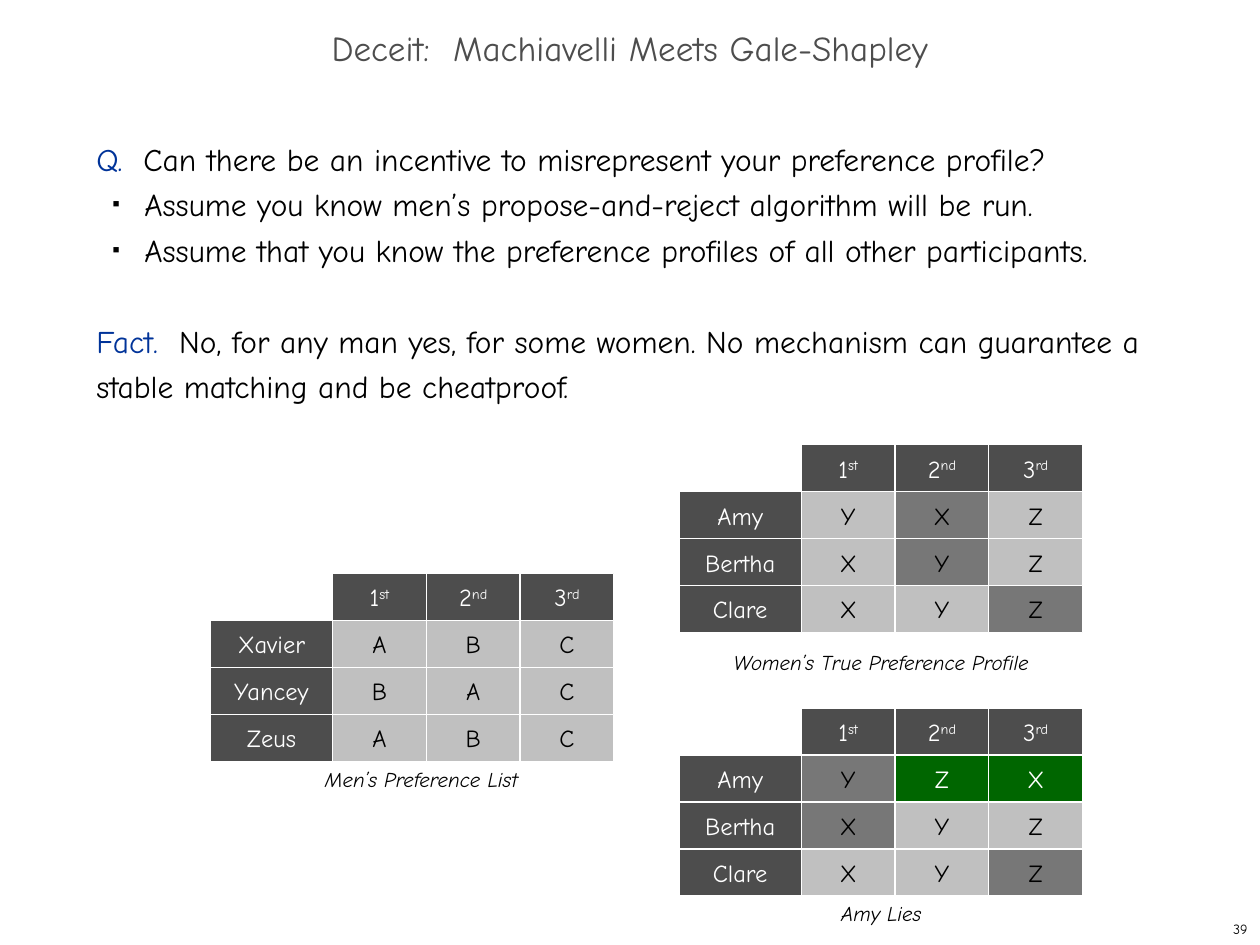
import pptx
import pptx.util
import pptx.dml.color
import pptx.enum.shapes
import pptx.enum.text
import pptx.oxml.ns
import lxml.etree

FONT = "Comic Neue"
COLORS = {
    "black": "000000",
    "white": "FFFFFF",
    "blue": "003399",
    "dark": "4D4D4D",
    "light": "C0C0C0",
    "gray": "777777",
    "green": "006600",
}
ALIGN = pptx.enum.text.PP_ALIGN
MIDDLE = pptx.enum.text.MSO_ANCHOR.MIDDLE

# The page is a grid of 100 columns by 100 rows
COLUMN = pptx.util.Inches(10) // 100
ROW = pptx.util.Inches(7.5) // 100

# Preference grids, measured in page columns and rows
NAME_WIDTH, RANK_WIDTH, CELL_HEIGHT = 9.7, 7.44, 4.97
CAPTION_WIDTH, CAPTION_HEIGHT = 33.5, 4.53
RANKS = [("1", "st"), ("2", "nd"), ("3", "rd")]


def columns(count):
    return pptx.util.Emu(round(count * COLUMN))


def rows(count):
    return pptx.util.Emu(round(count * ROW))


def grid_box(left, top, width, height):
    return columns(left), rows(top), columns(width), rows(height)


def add_text(para, text, size=18, color="black", italic=False, raised=False):
    span = para.add_run()
    span.text = text
    span.font.name = FONT
    span.font.size = pptx.util.Pt(size)
    span.font.italic = italic
    span.font.color.rgb = rgb(color)
    if raised:
        span._r.get_or_add_rPr().set("baseline", "30000")


def rgb(name):
    return pptx.dml.color.RGBColor.from_string(COLORS[name])


def single_line(shape, align):
    """Prepare a shape for one unwrapped line and return its paragraph."""
    frame = shape.text_frame
    frame.word_wrap = False
    frame.vertical_anchor = MIDDLE
    para = frame.paragraphs[0]
    para.alignment = align
    return para


def add_label(page, box, text, align, **text_format):
    add_text(single_line(page.shapes.add_textbox(*box), align), text, **text_format)


def set_bullet(para):
    properties = para._p.get_or_add_pPr()
    properties.set("marL", str(pptx.util.Inches(0.38)))
    properties.set("indent", str(pptx.util.Inches(-0.25)))
    bullet_color = lxml.etree.SubElement(properties, pptx.oxml.ns.qn("a:buClr"))
    lxml.etree.SubElement(bullet_color, pptx.oxml.ns.qn("a:srgbClr"), val=COLORS["black"])
    lxml.etree.SubElement(properties, pptx.oxml.ns.qn("a:buSzPct"), val="35000")
    lxml.etree.SubElement(properties, pptx.oxml.ns.qn("a:buFont"), typeface="Arial")
    lxml.etree.SubElement(properties, pptx.oxml.ns.qn("a:buChar"), char="■")


def add_cell(page, box, text, shade, suffix=""):
    cell = page.shapes.add_shape(pptx.enum.shapes.MSO_SHAPE.RECTANGLE, *box)
    cell.shadow.inherit = False
    cell.fill.solid()
    cell.fill.fore_color.rgb = rgb(shade)
    cell.line.color.rgb = rgb("white")
    cell.line.width = pptx.util.Pt(0.75)
    para = single_line(cell, ALIGN.CENTER)
    color = "white" if shade in ("dark", "green") else "black"
    add_text(para, text, size=14, color=color)
    if suffix:
        add_text(para, suffix, size=14, color=color, raised=True)


def add_title(page, box, text):
    title = page.shapes.title
    title.left, title.top, title.width, title.height = box
    frame = title.text_frame
    frame.vertical_anchor = MIDDLE
    para = frame.paragraphs[0]
    para.alignment = ALIGN.CENTER
    para.line_spacing = 0.7
    add_text(para, text, size=20, color="dark")


def add_body(page, box):
    frame = page.shapes.add_textbox(*box).text_frame
    frame.word_wrap = True
    # Each entry: blue lead word (empty for a bullet), then the sentence
    entries = [
        ("Q.  ", "Can there be an incentive to misrepresent your preference profile?"),
        ("", "Assume you know men’s propose-and-reject algorithm will be run."),
        ("", "Assume that you know the preference profiles of all other participants."),
        ("Fact.  ", "No, for any man yes, for some women. No mechanism can guarantee "
                    "a stable matching and be cheatproof."),
    ]
    for index, (lead, sentence) in enumerate(entries):
        para = frame.paragraphs[0] if index == 0 else frame.add_paragraph()
        if lead:
            add_text(para, lead, color="blue")
        else:
            set_bullet(para)
        add_text(para, sentence)
        para.line_spacing = pptx.util.Pt(26)
        if lead and index:
            para.space_before = pptx.util.Pt(26)


def add_preferences(page, left, top, people, caption, shades, shift):
    """Place a grid of cells, with its caption below, moved by shift."""
    def cell_box(line, place):
        cell_top = top + line * CELL_HEIGHT
        if place == 0:
            return grid_box(left, cell_top, NAME_WIDTH, CELL_HEIGHT)
        cell_left = left + NAME_WIDTH + (place - 1) * RANK_WIDTH
        return grid_box(cell_left, cell_top, RANK_WIDTH, CELL_HEIGHT)

    # Header row, beside an open corner
    for place, (number, suffix) in enumerate(RANKS, 1):
        add_cell(page, cell_box(0, place), number, "dark", suffix)

    # One row for each person
    for line, (person, choices) in enumerate(people.items(), 1):
        add_cell(page, cell_box(line, 0), person, "dark")
        for place, choice in enumerate(choices, 1):
            shade = shades.get((person, place), "light")
            add_cell(page, cell_box(line, place), choice, shade)

    bottom = top + (len(people) + 1) * CELL_HEIGHT
    caption_box = grid_box(left + shift[0], bottom + shift[1],
                           CAPTION_WIDTH, CAPTION_HEIGHT)
    add_label(page, caption_box, caption, ALIGN.CENTER, size=12, italic=True)


def main():
    deck = pptx.Presentation()
    deck.slide_width, deck.slide_height = columns(100), rows(100)
    page = deck.slides.add_slide(deck.slide_layouts[5])

    # Title, text and page number
    add_title(page, grid_box(0, 2.27, 100, 6.67), "Deceit:  Machiavelli Meets Gale-Shapley")
    add_body(page, grid_box(6.67, 13.33, 88.9, 78.93))
    add_label(page, grid_box(79.2, 96.67, 20.8, 3.33), "39", ALIGN.RIGHT, size=8)

    # Preference grids
    add_preferences(page, 16.7, 60.67, {"Xavier": "ABC", "Yancey": "BAC", "Zeus": "ABC"},
                    "Men’s Preference List", {}, shift=(0, -0.32))
    add_preferences(page, 53.9, 47.07, {"Amy": "YXZ", "Bertha": "XYZ", "Clare": "XYZ"},
                    "Women’s True Preference Profile",
                    {("Amy", 2): "gray", ("Bertha", 2): "gray", ("Clare", 3): "gray"},
                    shift=(-0.7, 0.8))
    add_preferences(page, 53.9, 74.93, {"Amy": "YZX", "Bertha": "XYZ", "Clare": "XYZ"},
                    "Amy Lies",
                    {("Amy", 1): "gray", ("Amy", 2): "green", ("Amy", 3): "green",
                     ("Bertha", 1): "gray", ("Clare", 3): "gray"},
                    shift=(-0.7, -0.4))

    deck.save("out.pptx")


if __name__ == "__main__":
    main()
